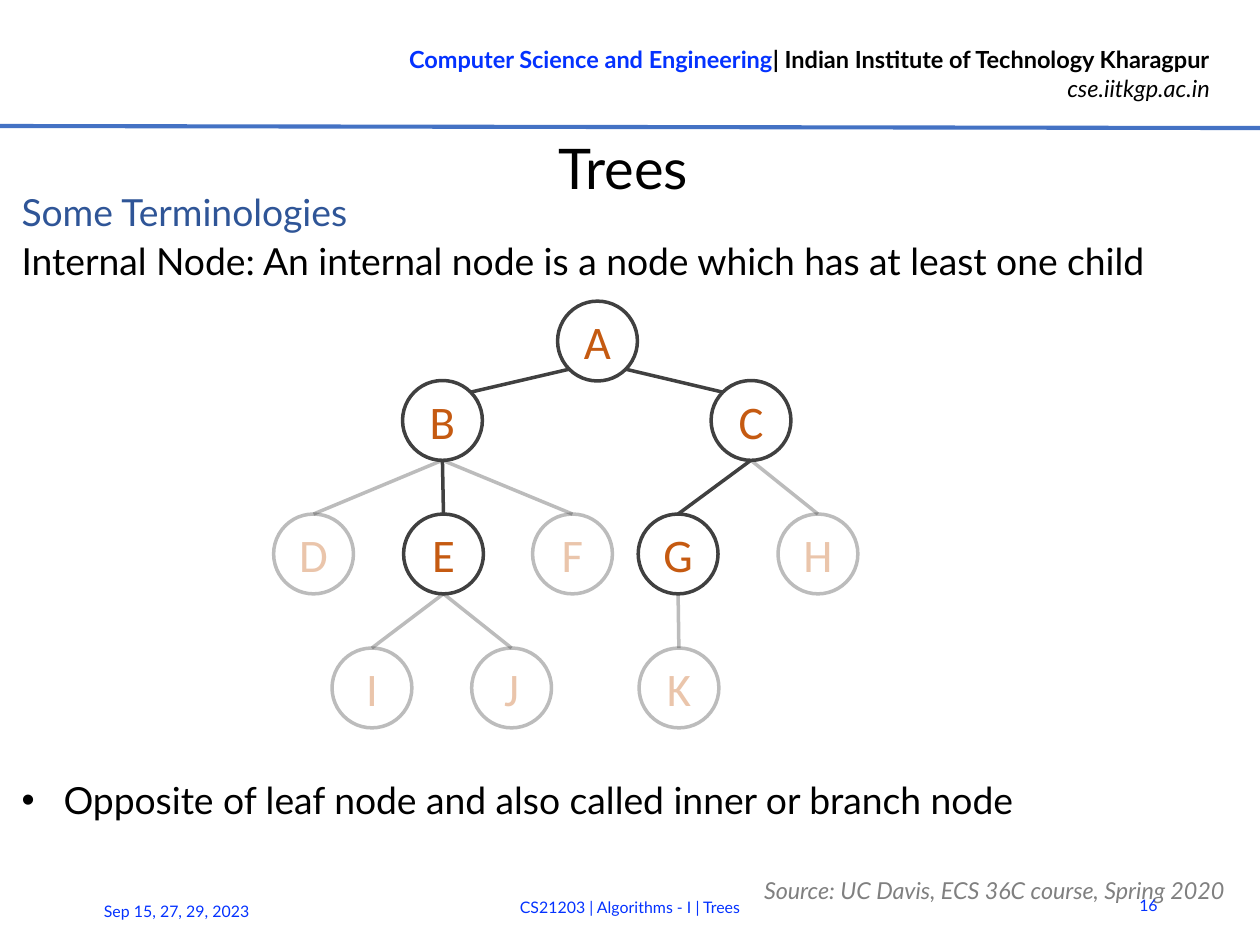
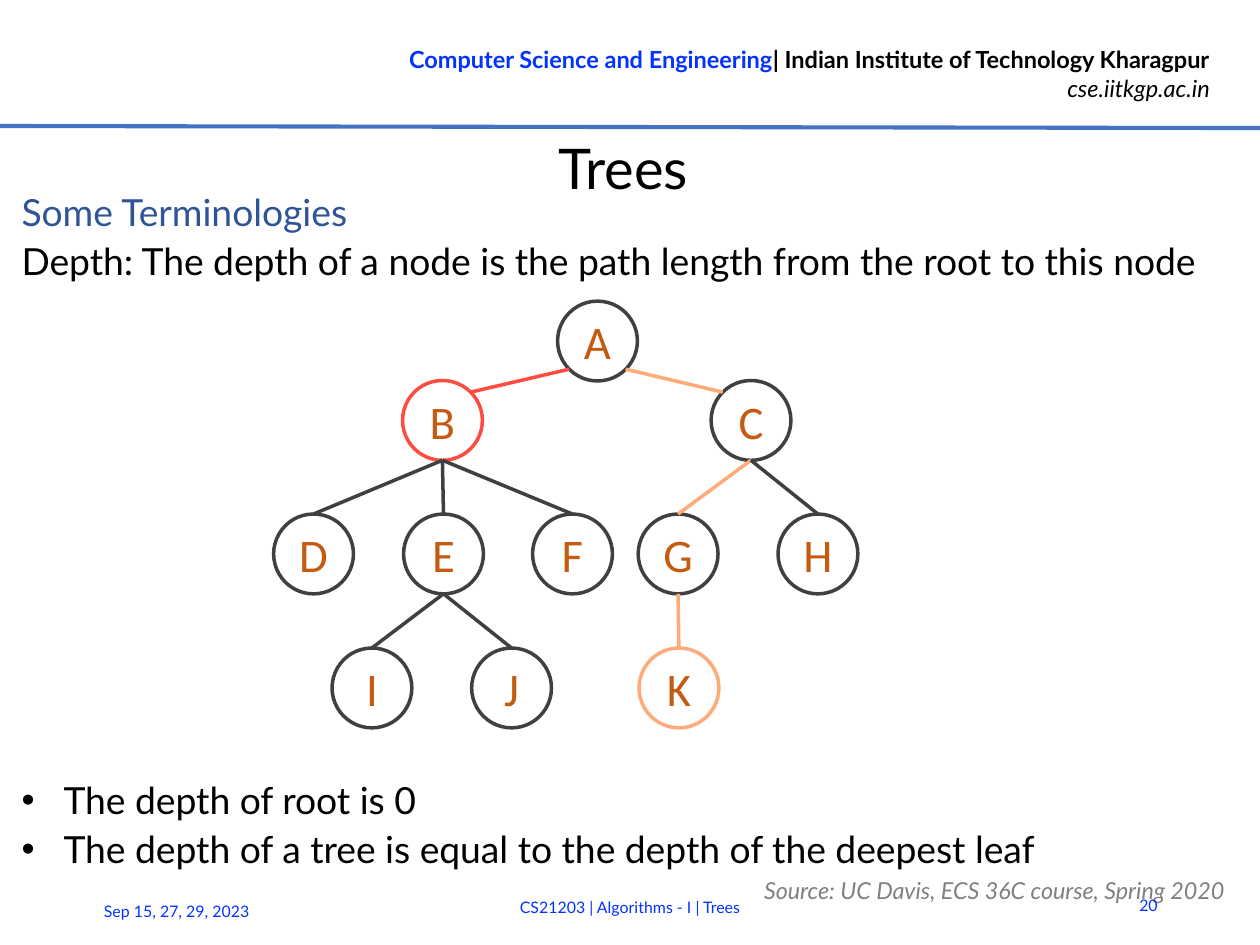
import pptx
import pptx.dml.color
import pptx.enum.shapes
import pptx.enum.text
import pptx.oxml
import pptx.oxml.ns
import pptx.util

RGBColor = pptx.dml.color.RGBColor
ALIGN = pptx.enum.text.PP_ALIGN
MIDDLE = pptx.enum.text.MSO_ANCHOR.MIDDLE

BLACK = RGBColor(0x00, 0x00, 0x00)
BLUE = RGBColor(0x04, 0x32, 0xFF)
HEADING_BLUE = RGBColor(0x2F, 0x55, 0x97)
RULE_BLUE = RGBColor(0x44, 0x72, 0xC4)
GRAY = RGBColor(0x80, 0x80, 0x80)
DARK = RGBColor(0x40, 0x40, 0x40)
RUST = RGBColor(0xC5, 0x5A, 0x11)
RED = RGBColor(0xFF, 0x4C, 0x41)
PEACH = RGBColor(0xFF, 0xAA, 0x79)

FONT = "Lato"
NODE_FONT = "Calibri"
COLUMNS, ROWS = 60, 45
CELL = pptx.util.Inches(0.125)
DIAMETER = 3.8
RADIUS = DIAMETER / 2
DIAGONAL = RADIUS * 0.5 ** 0.5
FADED_PERCENT = 35

LEVELS = [
    (16.24, {"A": 28.45}),
    (20.02, {"B": 21.07, "C": 35.76}),
    (26.38, {"D": 14.93, "E": 21.12, "F": 27.26, "G": 32.29, "H": 38.95}),
    (32.76, {"I": 17.71, "J": 24.36, "K": 32.33}),
]
CENTERS = {name: (x, y) for y, level in LEVELS for name, x in level.items()}
EDGES = ["AB", "AC", "BD", "BE", "BF", "CG", "CH", "EI", "EJ", "GK"]


def cells(*counts):
    return [round(count * CELL) for count in counts]


def set_font(font, size, color, name=FONT, bold=None, italic=None):
    font.size = pptx.util.Pt(size)
    font.name = name
    font.color.rgb = color
    font.bold = bold
    font.italic = italic


def add_text(slide, place, lines, size, color, align=ALIGN.LEFT, anchor=None, italic=None):
    shape = slide.shapes.add_textbox(*cells(*place))
    frame = shape.text_frame
    frame.word_wrap = True
    frame.vertical_anchor = anchor
    frame.text = "\n".join(lines)
    for paragraph in frame.paragraphs:
        paragraph.alignment = align
        set_font(paragraph.font, size, color, italic=italic)
    return shape


def space_lines(paragraphs, line, after):
    for paragraph in paragraphs:
        paragraph.line_spacing = pptx.util.Pt(line)
        paragraph.space_after = pptx.util.Pt(after)


def add_line(slide, start, end, color, width):
    connector = slide.shapes.add_connector(
        pptx.enum.shapes.MSO_CONNECTOR.STRAIGHT, *cells(*start, *end))
    connector.line.color.rgb = color
    connector.line.width = pptx.util.Pt(width)
    properties = connector.element.spPr
    properties.append(properties.makeelement(pptx.oxml.ns.qn("a:effectLst"), {}))
    return connector


def fade(shape):
    for color in shape.element.iter(pptx.oxml.ns.qn("a:srgbClr")):
        alpha = color.makeelement(
            pptx.oxml.ns.qn("a:alpha"), {"val": str(FADED_PERCENT * 1000)})
        color.append(alpha)


def add_header(slide):
    shape = slide.shapes.add_textbox(*cells(15.2, 1.76, 43.2, 3.5))
    frame = shape.text_frame
    frame.word_wrap = True
    institute = frame.paragraphs[0]
    for text, color in [("Computer Science and Engineering", BLUE),
                        ("| Indian Institute of Technology Kharagpur", BLACK)]:
        run = institute.add_run()
        run.text = text
        set_font(run.font, 10.1, color, bold=True)
    address = frame.add_paragraph()
    address.text = "cse.iitkgp.ac.in"
    set_font(address.font, 10.1, BLACK, italic=True)
    for paragraph in frame.paragraphs:
        paragraph.alignment = ALIGN.RIGHT
    return shape


def move_frame_to_layout(slide):
    source = add_text(slide, (35.6, 41.36, 24.16, 1.36),
                      ["Source: UC Davis, ECS 36C course, Spring 2020"],
                      10, GRAY, anchor=MIDDLE, italic=True)
    space_lines(source.text_frame.paragraphs, 18, 3)
    frame = [
        add_header(slide),
        add_line(slide, (0, 6), (COLUMNS, 6.1), RULE_BLUE, 1.75),
        add_text(slide, (4.16, 42.2, 10.5, 2.4), ["Sep 15, 27, 29, 2023"],
                 6.8, BLUE, anchor=MIDDLE),
        add_text(slide, (9.92, 42, 40.16, 2.4), ["CS21203 | Algorithms - I | Trees"],
                 6.8, BLUE, ALIGN.CENTER, MIDDLE),
        source,
    ]
    for shape in frame:
        slide.slide_layout.shapes.element.append(shape.element)


def format_title(slide, text):
    title = slide.shapes.title
    title.left, title.top, title.width, title.height = cells(1.92, 6.32, 55.52, 3.28)
    frame = title.text_frame
    frame.auto_size = pptx.enum.text.MSO_AUTO_SIZE.NONE
    frame.vertical_anchor = MIDDLE
    frame.margin_left = frame.margin_right = frame.margin_top = frame.margin_bottom = 0
    frame.text = text
    paragraph = frame.paragraphs[0]
    paragraph.alignment = ALIGN.CENTER
    set_font(paragraph.font, 24, BLACK)


def add_definition(slide, definition):
    shape = add_text(slide, (0.24, 8.88, 59, 5), ["Some Terminologies", definition], 16, BLACK)
    paragraphs = shape.text_frame.paragraphs
    paragraphs[0].font.color.rgb = HEADING_BLUE
    space_lines(paragraphs, 17, 4)


def add_bullets(slide, lines):
    shape = slide.shapes.add_textbox(*cells(0.24, 36.88, 59, 5))
    frame = shape.text_frame
    frame.word_wrap = True
    frame.text = "\n".join(lines)
    indent = 2 * CELL
    for paragraph in frame.paragraphs:
        properties = paragraph._p.get_or_add_pPr()
        properties.set("marL", str(indent))
        properties.set("indent", str(-indent))
        for tag, attributes in [("a:buFont", {"typeface": "Arial"}),
                                ("a:buChar", {"char": "•"})]:
            properties.append(properties.makeelement(pptx.oxml.ns.qn(tag), attributes))
        set_font(paragraph.font, 16, BLACK)
    space_lines(frame.paragraphs, 17, 4)


def add_node(slide, name, color):
    x, y = CENTERS[name]
    shape = slide.shapes.add_shape(
        pptx.enum.shapes.MSO_SHAPE.OVAL, *cells(x - RADIUS, y - RADIUS, DIAMETER, DIAMETER))
    shape.shadow.inherit = False
    shape.fill.background()
    shape.line.color.rgb = color
    shape.line.width = pptx.util.Pt(1.5)
    frame = shape.text_frame
    frame.word_wrap = False
    frame.vertical_anchor = MIDDLE
    frame.margin_left = frame.margin_right = frame.margin_top = frame.margin_bottom = 0
    frame.text = name
    paragraph = frame.paragraphs[0]
    paragraph.alignment = ALIGN.CENTER
    set_font(paragraph.font, 20, RUST, NODE_FONT)
    return shape


def add_edge(slide, parent, child, color):
    x, y = CENTERS[parent]
    child_x, child_y = CENTERS[child]
    if parent == "A":
        side = DIAGONAL if child_x > x else -DIAGONAL
        start, end = (x + side, y + DIAGONAL), (child_x - side, child_y - DIAGONAL)
    else:
        start, end = (x, y + RADIUS), (child_x, child_y - RADIUS)
    return add_line(slide, start, end, color, 1.5)


def add_tree(slide, colors, faded):
    for name in CENTERS:
        node = add_node(slide, name, colors.get(name, DARK))
        if name in faded:
            fade(node)
    for parent, child in EDGES:
        edge = add_edge(slide, parent, child, colors.get(parent + child, DARK))
        if child in faded:
            fade(edge)


def add_tree_slide(presentation, number, definition, bullets, colors, faded):
    slide = presentation.slides.add_slide(presentation.slide_layouts.get_by_name("Title Only"))
    format_title(slide, "Trees")
    add_definition(slide, definition)
    add_tree(slide, colors, faded)
    add_bullets(slide, bullets)
    add_text(slide, (52.96, 41.92, 2.96, 2.4), [number], 6.8, BLUE, ALIGN.RIGHT, MIDDLE)
    return slide


def main():
    presentation = pptx.Presentation()
    presentation.slide_width, presentation.slide_height = cells(COLUMNS, ROWS)
    internal_slide = add_tree_slide(
        presentation, "16",
        "Internal Node: An internal node is a node which has at least one child",
        ["Opposite of leaf node and also called inner or branch node"],
        colors={}, faded="DFHIJK")
    move_frame_to_layout(internal_slide)
    add_tree_slide(
        presentation, "20",
        "Depth: The depth of a node is the path length from the root to this node",
        ["The depth of root is 0",
         "The depth of a tree is equal to the depth of the deepest leaf"],
        colors={"B": RED, "AB": RED, "K": PEACH, "AC": PEACH, "CG": PEACH, "GK": PEACH},
        faded="")
    presentation.save("out.pptx")


if __name__ == "__main__":
    main()
